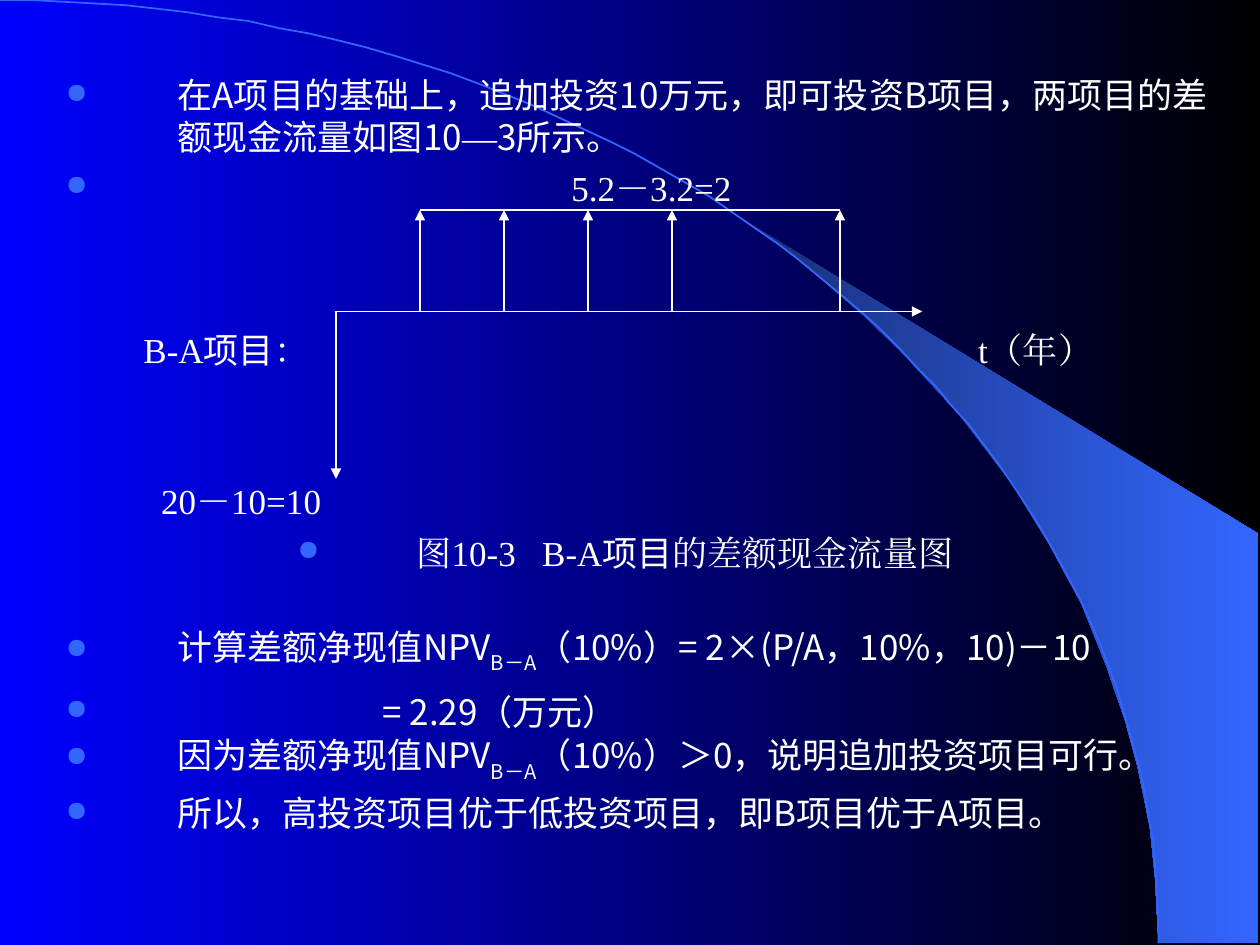
from lxml import etree
from pptx import Presentation, util as u
from pptx.dml.color import RGBColor
from pptx.enum import shapes, text
from pptx.oxml.ns import qn

Pt = u.Pt
SANS, SERIF = "Noto Sans CJK SC", "Times New Roman"
WHITE, BLUE = "FFFFFF", "3366FF"
LEFT, WIDTH = 37.5, 654
HANG = 64
STEP = 48
AXIS_Y, INCOME_Y, COST_Y = 178, 120, 273.6


def rgb(value):
    return RGBColor.from_string(value)


def fill_gradient(fill, first, last):
    fill.gradient()
    fill.gradient_angle = 0
    for stop, value in zip(fill.gradient_stops, (first, last)):
        stop.color.rgb = rgb(value)


def add_outline(page, points, closed):
    builder = page.shapes.build_freeform(*points[0], scale=Pt(1))
    builder.add_line_segments(points[1:], close=closed)
    shape = builder.convert_to_shape()
    shape.shadow.inherit = False
    return shape


def add_beam(page):
    inches = [(9.2, 7.48), (9.99, 7.49), (9.99, 4.23), (5.89, 1.73),
              (6.24, 1.99), (6.53, 2.22), (6.85, 2.5), (7.16, 2.8),
              (7.62, 3.3), (8.03, 3.84), (8.32, 4.31), (8.58, 4.79),
              (8.78, 5.28), (8.93, 5.72), (9.03, 6.09), (9.13, 6.56),
              (9.17, 6.96)]
    beam = add_outline(page, [(x * 72, y * 72) for x, y in inches], True)
    fill_gradient(beam.fill, "182F76", BLUE)
    beam.line.fill.background()


def add_arc(page, right=662.4, bottom=539.3, steps=60):
    """Draw a quarter ellipse as a sampled Bezier curve."""
    points = []
    for i in range(steps + 1):
        t = i / steps
        s = 1 - t
        x = 3 * s * s * t * 365.8 + (3 * s * t * t + t ** 3) * right
        y = 3 * s * t * t * 241.2 + t ** 3 * bottom
        points.append((x, y))
    arc = add_outline(page, points, False)
    arc.fill.background()
    arc.line.color.rgb = rgb(BLUE)
    arc.line.width = Pt(1)


def add_line(page, start, end, arrow=True):
    line = page.shapes.add_connector(
        shapes.MSO_CONNECTOR.STRAIGHT, *map(Pt, (*start, *end)))
    line.line.color.rgb = rgb(WHITE)
    line.line.width = Pt(0.75)
    if arrow:
        etree.SubElement(line.line._get_or_add_ln(), qn("a:tailEnd"),
                         type="triangle")
    etree.SubElement(line._element.spPr, qn("a:effectLst"))


def add_bullet(para, margin, hang):
    props = para._p.get_or_add_pPr()
    props.set("marL", str(Pt(margin)))
    props.set("indent", str(Pt(-hang)))
    color = etree.SubElement(props, qn("a:buClr"))
    etree.SubElement(color, qn("a:srgbClr"), val=BLUE)
    etree.SubElement(props, qn("a:buSzPct"), val="80000")
    etree.SubElement(props, qn("a:buChar"), char="●")


def add_span(para, words, face, **extra):
    """Add a run; extra holds raw run attributes such as baseline or spc."""
    span = para.add_run()
    span.text = words
    formats = {"name": face, "size": Pt(20)}
    for name, value in formats.items():
        setattr(span.font, name, value)
    span.font.color.rgb = rgb(WHITE)
    props = span._r.get_or_add_rPr()
    etree.SubElement(props, qn("a:ea"), typeface=face)
    for name, value in extra.items():
        props.set(name, str(value))


def add_text(page, left, top, width, paras, pitch=24):
    """Each para is (spans, bullet margin and hang or None, space before)."""
    box = page.shapes.add_textbox(
        *map(Pt, (left, top, width, pitch * len(paras))))
    frame = box.text_frame
    frame.word_wrap = True
    frame.vertical_anchor = text.MSO_ANCHOR.TOP
    for side in ("left", "top", "right", "bottom"):
        setattr(frame, f"margin_{side}", 0)
    for i, (spans, bullet, before) in enumerate(paras):
        para = frame.add_paragraph() if i else frame.paragraphs[0]
        if bullet:
            add_bullet(para, *bullet)
        formats = {"line_spacing": Pt(pitch), "space_before": Pt(before)}
        for name, value in formats.items():
            setattr(para, name, value)
        for words, face, *extra in spans:
            add_span(para, words, face, **(extra[0] if extra else {}))


def add_cash_flow(page):
    start = 4 * STEP
    add_line(page, (start, AXIS_Y), (11 * STEP - 1, AXIS_Y))
    add_line(page, (start, AXIS_Y), (start, COST_Y))
    years = [STEP * n for n in (5, 6, 7, 8, 10)]
    for x in years:
        add_line(page, (x, AXIS_Y), (x, INCOME_Y))
    add_line(page, (years[0], INCOME_Y), (years[-1], INCOME_Y), arrow=False)


def add_wording(page):
    hanging = (HANG, HANG)
    subscript = ("B－A", SANS, {"baseline": -30000})
    add_text(page, LEFT, 42, WIDTH, [
        ([("在A项目的基础上，追加投资10万元，即可投资B项目，两项目的差额现金流量如图10", SANS),
          ("—", SERIF), ("3所示。", SANS)], hanging, 0),
        ([("5.2－3.2=2", SERIF)], (289, 289), 5)])
    add_text(page, 82, 187.5, 105,
             [([("B-A", SERIF), ("项目", SANS), ("：", SERIF)], None, 0)])
    add_text(page, 559, 187.5, 90, [([("t（年）", SERIF)], None, 0)])
    add_text(page, 92, 274, 120, [([("20－10=10", SERIF)], None, 0)])
    add_text(page, 170, 303.5, 420, [
        ([("图10-3", SERIF), (" ", SERIF, {"spc": 1000}), ("B-A", SERIF),
          ("项目", SANS), ("的差额现金流量图", SERIF)], (68, 68), 0)])
    add_text(page, LEFT, 356.5, WIDTH, [
        ([("计算差额净现值NPV", SANS), subscript,
          ("（10%）= 2×(P/A，10%，10)－10", SANS)], hanging, 0),
        ([("= 2.29（万元）", SANS)], (181, 181), 4),
        ([("因为差额净现值NPV", SANS), subscript,
          ("（10%）＞0，说明追加投资项目可行。", SANS)], hanging, 0),
        ([("所以，高投资项目优于低投资项目，即B项目优于A项目。", SANS)], hanging, 0),
    ], pitch=29)


def main():
    deck = Presentation()
    deck.slide_width, deck.slide_height = Pt(720), Pt(540)
    page = deck.slides.add_slide(deck.slide_layouts[6])
    fill_gradient(page.background.fill, "0000FF", "000000")
    add_beam(page)
    add_arc(page)
    add_wording(page)
    add_cash_flow(page)
    deck.save("out.pptx")


if __name__ == "__main__":
    main()
